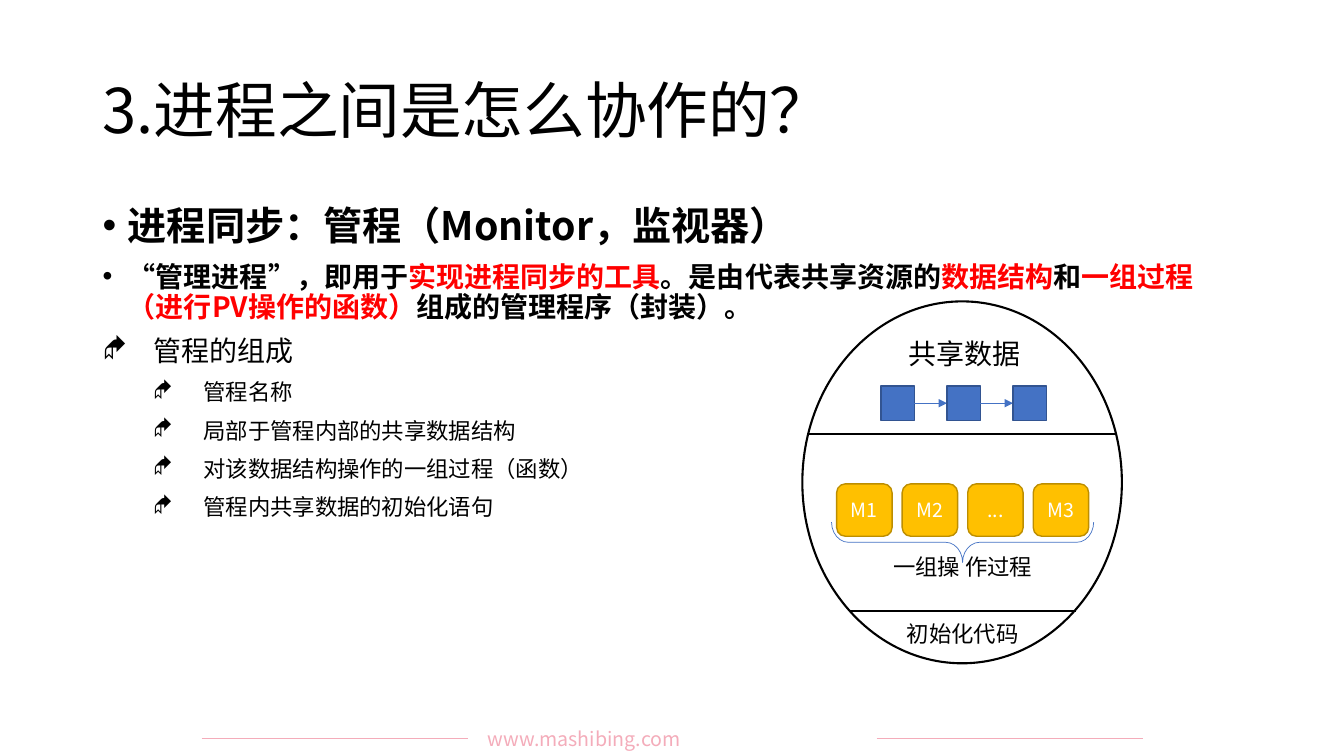
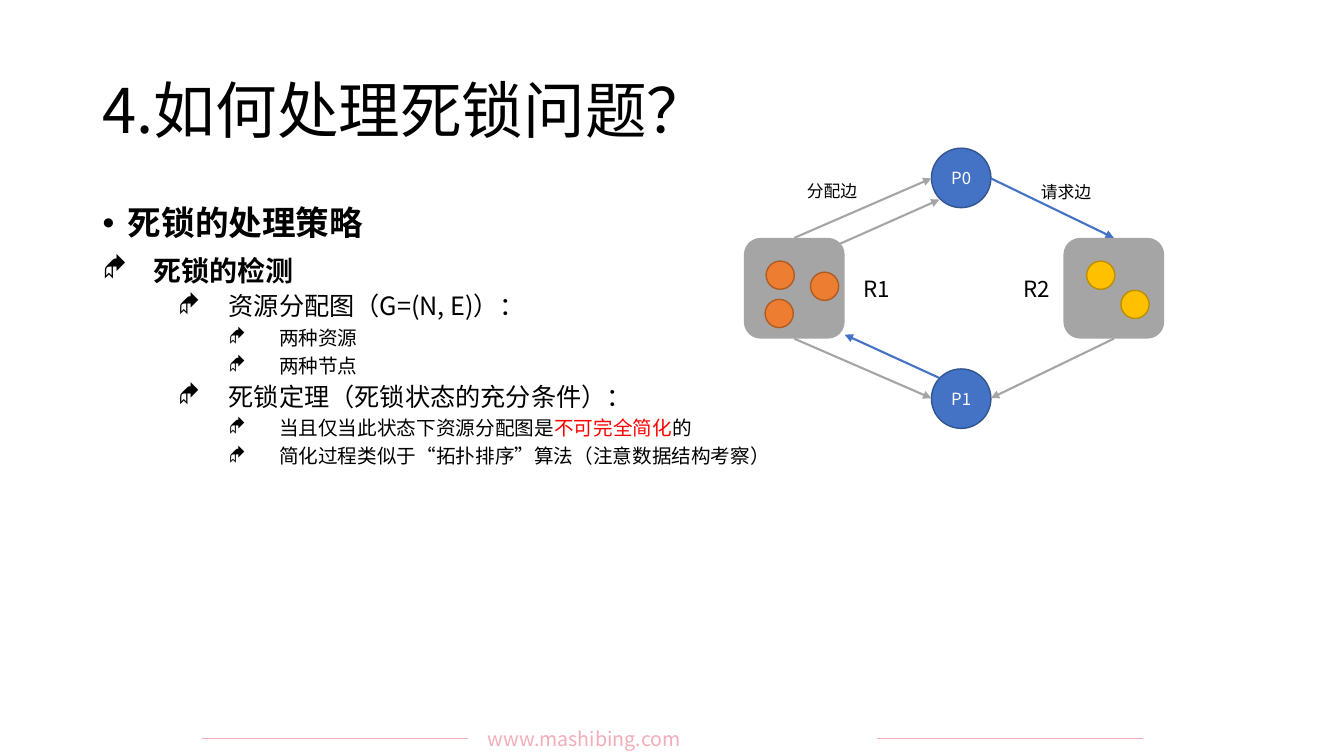
from dataclasses import dataclass

from lxml.etree import SubElement
from pptx import Presentation
from pptx.dml.color import RGBColor as RGB
from pptx.enum.shapes import MSO_CONNECTOR, MSO_SHAPE as SHAPE
from pptx.enum.text import MSO_ANCHOR as ANCHOR, PP_ALIGN as ALIGN
from pptx.oxml.ns import qn
from pptx.util import Inches, Pt


@dataclass(frozen=True)
class Theme:
    font: str = "Noto Sans CJK SC"
    black: str = "000000"
    white: str = "FFFFFF"
    red: str = "FF0000"
    pink: str = "F4ACBA"
    gray: str = "A5A5A5"
    blue: str = "4472C4"
    blue_edge: str = "325491"
    gold: str = "FFC000"
    gold_edge: str = "BD8E00"
    orange: str = "ED7D31"
    orange_edge: str = "AF5C24"
    title: int = 44
    h1: int = 28
    h2: int = 24
    h3: int = 20
    h4: int = 18
    text: int = 16
    small: int = 14
    tiny: int = 12


T = Theme()
COL = ROW = Inches(0.1)  # the grid; every position below counts columns and rows
COLS, ROWS = 133.33, 75


def put(s, kind, x, y, w, h, text="", size=T.text, color=T.black,
        fill=None, edge=None, width=1, align=ALIGN.CENTER):
    """Place a preset shape, or a text box if kind is None, on the grid."""
    area = int(x * COL), int(y * ROW), int(w * COL), int(h * ROW)
    if kind is None:
        sp = s.shapes.add_textbox(*area)
    else:
        sp = s.shapes.add_shape(kind, *area)
        sp.shadow.inherit = False
        if fill:
            sp.fill.solid()
            sp.fill.fore_color.rgb = RGB.from_string(fill)
        else:
            sp.fill.background()
        if edge:
            sp.line.color.rgb = RGB.from_string(edge)
            sp.line.width = Pt(width)
        else:
            sp.line.fill.background()
    tf = sp.text_frame
    tf.word_wrap = True
    if text:
        tf.text = text
        p = tf.paragraphs[0]
        p.alignment = align
        p.runs[0].font.size = Pt(size)
        p.runs[0].font.color.rgb = RGB.from_string(color)
    return sp


def line(s, x1, y1, x2, y2, color, width, arrow=False):
    cn = s.shapes.add_connector(MSO_CONNECTOR.STRAIGHT, int(x1 * COL), int(y1 * ROW),
                                int(x2 * COL), int(y2 * ROW))
    cn.line.color.rgb = RGB.from_string(color)
    cn.line.width = Pt(width)
    if arrow:
        SubElement(cn.line._get_or_add_ln(), qn("a:tailEnd"), type="triangle")
    SubElement(cn._element.spPr, qn("a:effectLst"))


# Outline rows: level, indent in columns, size, bold, space before, text.
# Text between bars is red.
DECK = [
    ("3.进程之间是怎么协作的？", [
        (0, 2.5, T.h1, True, 0, "进程同步：管程（Monitor，监视器）"),
        (0, 2.5, T.h3, True, 10, "“管理进程”，即用于|实现进程同步的工具|。是由代表共享资源的"
                                 "|数据结构|和|一组过程（进行PV操作的函数）|组成的管理程序（封装）。"),
        (1, 5, T.h3, False, 10, "管程的组成"),
        (2, 10, T.text, False, 10, "管程名称"),
        (2, 10, T.text, False, 10, "局部于管程内部的共享数据结构"),
        (2, 10, T.text, False, 10, "对该数据结构操作的一组过程（函数）"),
        (2, 10, T.text, False, 10, "管程内共享数据的初始化语句"),
    ]),
    ("4.如何处理死锁问题？", [
        (0, 2.5, T.h2, True, 0, "死锁的处理策略"),
        (0, 5, T.h3, True, 10, "死锁的检测"),
        (1, 12.5, T.h4, False, 5, "资源分配图（G=(N, E)）："),
        (2, 17.5, T.small, False, 5, "两种资源"),
        (2, 17.5, T.small, False, 5, "两种节点"),
        (1, 12.5, T.h4, False, 5, "死锁定理（死锁状态的充分条件）："),
        (2, 17.5, T.small, False, 5, "当且仅当此状态下资源分配图是|不可完全简化|的"),
        (2, 17.5, T.small, False, 5, "简化过程类似于“拓扑排序”算法（注意数据结构考察）"),
    ]),
]

prs = Presentation()
prs.slide_width, prs.slide_height = int(COLS * COL), int(ROWS * ROW)

# Footer, title and outline of every slide
for title, outline in DECK:
    s = prs.slides.add_slide(prs.slide_layouts[6])
    for x in (20, 87):
        line(s, x, 73.3, x + 26.4, 73.3, T.pink, 0.5)
    put(s, None, 47.4, 71.6, 38.5, 3.4, "www.mashibing.com", T.small, T.pink,
        align=ALIGN.JUSTIFY)
    tf = put(s, None, 9.2, 4, 115, 14.5, title, T.title, align=ALIGN.LEFT).text_frame
    tf.vertical_anchor = ANCHOR.MIDDLE
    tf.paragraphs[0].line_spacing = 0.9

    tf = put(s, None, 9.2, 20, 115, 51).text_frame
    for i, (level, indent, size, bold, before, text) in enumerate(outline):
        p = tf.add_paragraph() if i else tf.paragraphs[0]
        p.level = level
        hang, font, mark = (2.5, "Arial", "•") if indent == 2.5 else (5, "Wingdings", "◆")
        pPr = p._p.get_or_add_pPr()
        pPr.set("marL", str(int(indent * COL)))
        pPr.set("indent", str(int(-hang * COL)))
        SubElement(pPr, qn("a:buFont"), typeface=font)
        SubElement(pPr, qn("a:buChar"), char=mark)
        p.line_spacing = 0.9
        p.space_before = Pt(before)
        for j, part in enumerate(text.split("|")):
            r = p.add_run()
            r.text = part
            r.font.size = Pt(size)
            r.font.bold = bold
            r.font.color.rgb = RGB.from_string(T.red if j % 2 else T.black)

monitor, deadlock = prs.slides

# Monitor: an ellipse cut into shared data, procedures and initial code
s = monitor
put(s, SHAPE.OVAL, 79.6, 29.9, 31.7, 35.9, edge=T.black, width=1.5)
line(s, 80.1, 43.1, 110.6, 43.1, T.black, 1.5)
line(s, 84.3, 60.6, 106.7, 60.6, T.black, 1.5)
put(s, None, 88.9, 32.9, 13.6, 4.4, "共享数据", T.h3)
put(s, None, 88.7, 61, 13.6, 3.7, "初始化代码")

for i, name in enumerate(("M1", "M2", "...", "M3")):
    put(s, SHAPE.ROUNDED_RECTANGLE, 83 + 6.5 * i, 48, 5.5, 5.2, name, T.small, T.white,
        T.gold, T.gold_edge)
brace = put(s, SHAPE.LEFT_BRACE, 93.5, 40.8, 4, 26, edge=T.blue, width=0.5)
brace.rotation = 270
brace.adjustments[0] = 0.42
put(s, None, 86.4, 54.4, 18.2, 3.7, "一组操 作过程")

NODE, STEP = 3.3, 6.55
for i in range(3):
    x = 87.4 + STEP * i
    put(s, SHAPE.RECTANGLE, x, 38.3, NODE, 3.4, fill=T.blue, edge=T.blue_edge)
    if i < 2:
        line(s, x + NODE, 40, x + STEP, 40, T.blue, 1, arrow=True)

# Deadlock: resource allocation graph
s = deadlock
for y, name in ((14.7, "P0"), (36.6, "P1")):
    put(s, SHAPE.OVAL, 92.4, y, 5.9, 5.9, name, T.tiny, T.white, T.blue, T.blue_edge)

for x1, y1, x2, y2, color in (
        (93.2, 37.5, 83.8, 33.2, T.blue),
        (78.8, 33.6, 92.4, 39.5, T.gray),
        (110.5, 33.6, 98.3, 39.5, T.gray),
        (78.8, 23.6, 92.4, 17.7, T.gray),
        (98.3, 17.7, 110.5, 23.6, T.blue),
        (83.3, 24.2, 93.2, 19.8, T.gray)):
    line(s, x1, y1, x2, y2, color, 1.5, arrow=True)
for x, y, name in ((101.8, 17.5, "请求边"), (78.6, 17.4, "分配边")):
    put(s, None, x, y, 7.9, 3, name, T.tiny)

# Each resource: box left, label left, unit colours, units as offsets in the box
for x, label_x, name, fill, edge, units in (
        (73.8, 83.3, "R1", T.orange, T.orange_edge, ((2.2, 2.3), (6.6, 3.4), (2.1, 6.1))),
        (105.5, 99.2, "R2", T.gold, T.gold_edge, ((2.3, 2.3), (5.7, 5.2)))):
    put(s, SHAPE.ROUNDED_RECTANGLE, x, 23.6, 10, 10, fill=T.gray)
    for dx, dy in units:
        put(s, SHAPE.OVAL, x + dx, 23.6 + dy, 2.8, 2.8, fill=fill, edge=edge)
    put(s, None, label_x, 26.8, 7.3, 3.7, name)

# One typeface for Latin and East Asian text
for s in prs.slides:
    for sp in s.shapes:
        if sp.has_text_frame:
            for p in sp.text_frame.paragraphs:
                for r in p.runs:
                    r.font.name = T.font
                    SubElement(r._r.get_or_add_rPr(), qn("a:ea"), typeface=T.font)

prs.save("out.pptx")
